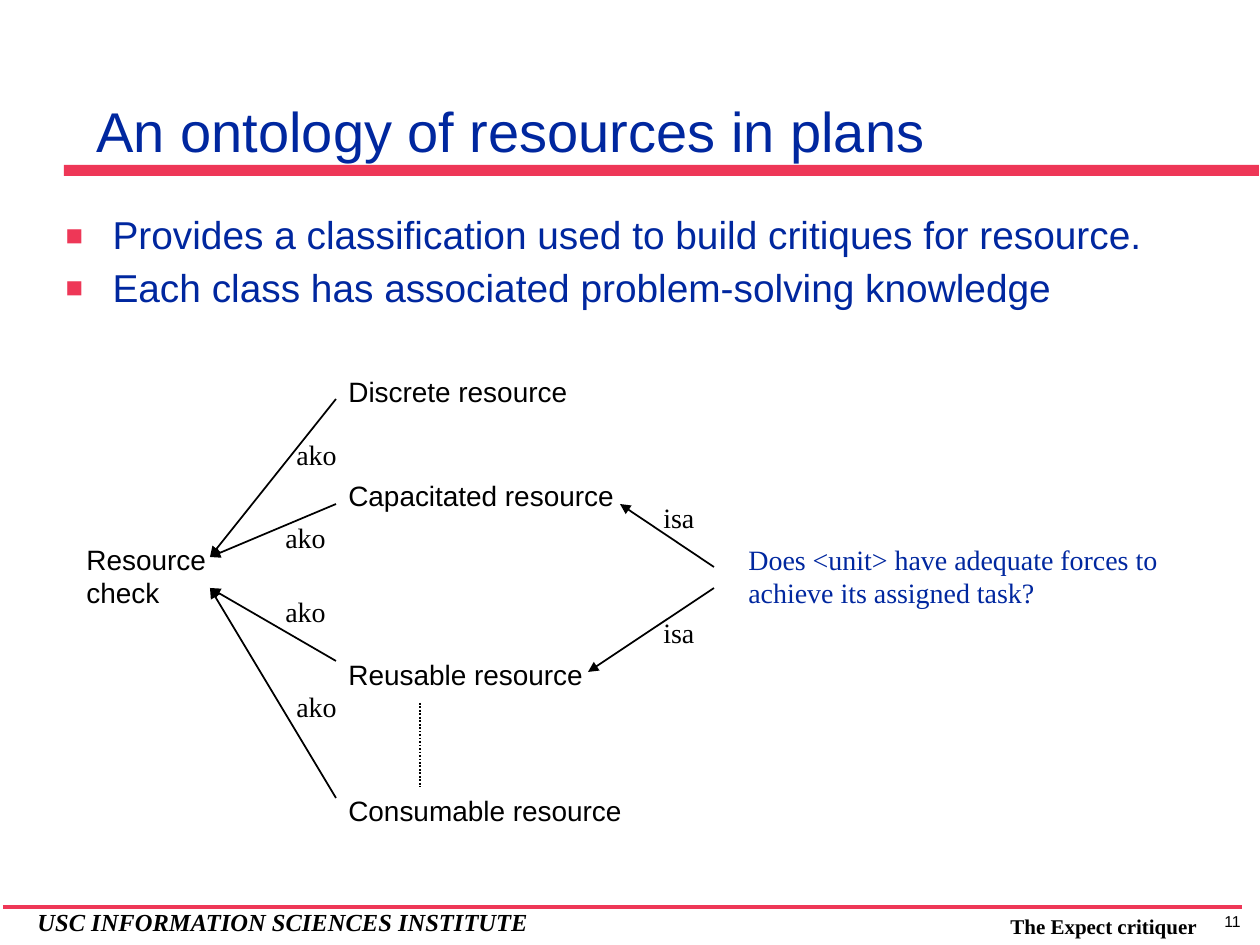
from pptx import Presentation
from pptx.dml.color import RGBColor
from pptx.enum.dml import MSO_LINE
from pptx.enum.shapes import MSO_CONNECTOR, MSO_SHAPE
from pptx.enum.text import MSO_ANCHOR, MSO_AUTO_SIZE, PP_ALIGN
from pptx.oxml.ns import qn
from pptx.util import Pt
from lxml.etree import SubElement

EMU_PER_PX = 914400 / 126
SANS, SERIF = "Arial", "Times New Roman"
BLACK, BLUE, RED = "000000", "00279F", "EE3757"


def px(length):
    """Turn pixels into EMU."""
    return round(length * EMU_PER_PX)


def color(value):
    """Turn a hex string into a colour."""
    return RGBColor.from_string(value)


def place(shape, box):
    """Move and size a shape to a box in pixels."""
    shape.left, shape.top, shape.width, shape.height = map(px, box)


def format_text(frame, size, font=SANS, ink=BLACK, bold=False, italic=False,
                align=PP_ALIGN.LEFT):
    """Format every run of a text frame."""
    for para in frame.paragraphs:
        para.alignment = align
        for span in para.runs:
            span.font.size = Pt(size)
            span.font.name = font
            span.font.bold = bold
            span.font.italic = italic
            span.font.color.rgb = color(ink)


def add_text(page, box, text, size, wrap=False, **style):
    """Add a text box with one style that grows with its text."""
    frame = page.shapes.add_textbox(*map(px, box)).text_frame
    frame.word_wrap = wrap
    frame.auto_size = MSO_AUTO_SIZE.SHAPE_TO_FIT_TEXT
    frame.text = text
    format_text(frame, size, **style)


def add_line(page, start, end, ink=BLACK, width=1, arrow=False):
    """Add a straight line, with an arrowhead at its start if asked."""
    line = page.shapes.add_connector(
        MSO_CONNECTOR.STRAIGHT, *map(px, (*start, *end)))
    line.line.color.rgb = color(ink)
    line.line.width = Pt(width)
    if arrow:
        SubElement(line.line._get_or_add_ln(), qn("a:headEnd"), type="triangle")
    SubElement(line._element.spPr, qn("a:effectLst"))
    return line


def add_bullet(para):
    """Give a paragraph a red square bullet and a hanging indent."""
    props = para._p.get_or_add_pPr()
    props.set("marL", str(px(47)))
    props.set("indent", str(px(-47)))
    tint = SubElement(props, qn("a:buClr"))
    SubElement(tint, qn("a:srgbClr"), val=RED)
    SubElement(props, qn("a:buSzPct"), val="75000")
    SubElement(props, qn("a:buFont"), typeface=SANS)
    SubElement(props, qn("a:buChar"), char="■")


def build_heading(page, left, top):
    """Place the title above its red bar."""
    bar = page.shapes.add_shape(
        MSO_SHAPE.RECTANGLE, *map(px, (left, top + 154, 1195, 11)))
    bar.shadow.inherit = False
    bar.fill.solid()
    bar.fill.fore_color.rgb = color(RED)
    bar.line.fill.background()
    title = page.shapes.title
    place(title, (left + 20, top, 1069, 159))
    frame = title.text_frame
    frame.text = "An ontology of resources in plans"
    frame.vertical_anchor = MSO_ANCHOR.BOTTOM
    frame.auto_size = MSO_AUTO_SIZE.NONE
    format_text(frame, 32, ink=BLUE)


def build_points(page, box):
    """Fill the body placeholder with the bullet list."""
    body = page.placeholders[1]
    place(body, box)
    frame = body.text_frame
    frame.auto_size = MSO_AUTO_SIZE.NONE
    frame.text = ("Provides a classification used to build critiques for resource.\n"
                  "Each class has associated problem-solving knowledge")
    for index, para in enumerate(frame.paragraphs):
        add_bullet(para)
        para.line_spacing = 0.9
        para.space_before = Pt(6 if index else 0)
    format_text(frame, 22.2, ink=BLUE)


def build_ontology(page, left, top):
    """Draw the resource classes and the relations between them."""
    def at(x, y):
        """Give a point inside the diagram."""
        return left + x, top + y

    add_text(page, (*at(0, 168), 146, 81), "Resource\ncheck", 16)
    classes = [
        ("Discrete", 0, 245, 189, 31, (210, 63)),
        ("Capacitated", 104, 292, 189, 136, (199, 146)),
        ("Reusable", 283, 261, 220, 293, (199, 220)),
        ("Consumable", 419, 300, 220, 430, (210, 315)),
    ]
    for name, y, width, hub_y, end_y, label in classes:
        add_text(page, (*at(262, y), width, 47), f"{name} resource", 16)
        add_line(page, at(136, hub_y), at(262, end_y), arrow=True)
        add_text(page, (*at(*label), 67, 47), "ako", 16, font=SERIF)

    more = add_line(page, at(346, 335), at(346, 419))
    more.line.dash_style = MSO_LINE.ROUND_DOT

    add_text(page, (*at(662, 168), 436, 81),
             "Does <unit> have adequate forces to\nachieve its assigned task?",
             16, font=SERIF, ink=BLUE)
    for tip, tail_y, label_y in (((546, 136), 199, 126), ((514, 304), 220, 241)):
        add_line(page, at(*tip), at(640, tail_y), arrow=True)
        add_text(page, (*at(577, label_y), 57, 47), "isa", 16, font=SERIF)


def build_footer(page, left, top):
    """Place the footer rule, the two names and the page number."""
    add_line(page, (left, top + 6), (left + 1239, top + 6), RED, 2)
    add_text(page, (left + 22, top, 549, 42), "USC INFORMATION SCIENCES INSTITUTE",
             14, wrap=True, font=SERIF, bold=True, italic=True)
    add_text(page, (left + 995, top + 6, 221, 38), "The Expect critiquer",
             12, wrap=True, font=SERIF, bold=True)
    add_text(page, (left + 1181, top + 5, 97, 32), "11", 9, align=PP_ALIGN.CENTER)


def main():
    """Build the deck and save it."""
    deck = Presentation()
    deck.slide_width, deck.slide_height = px(1260), px(945)
    page = deck.slides.add_slide(deck.slide_layouts[1])
    build_heading(page, 64, 11)
    build_points(page, (53, 210, 1207, 116))
    build_ontology(page, 74, 368)
    build_footer(page, 3, 901)
    deck.save("out.pptx")


if __name__ == "__main__":
    main()
